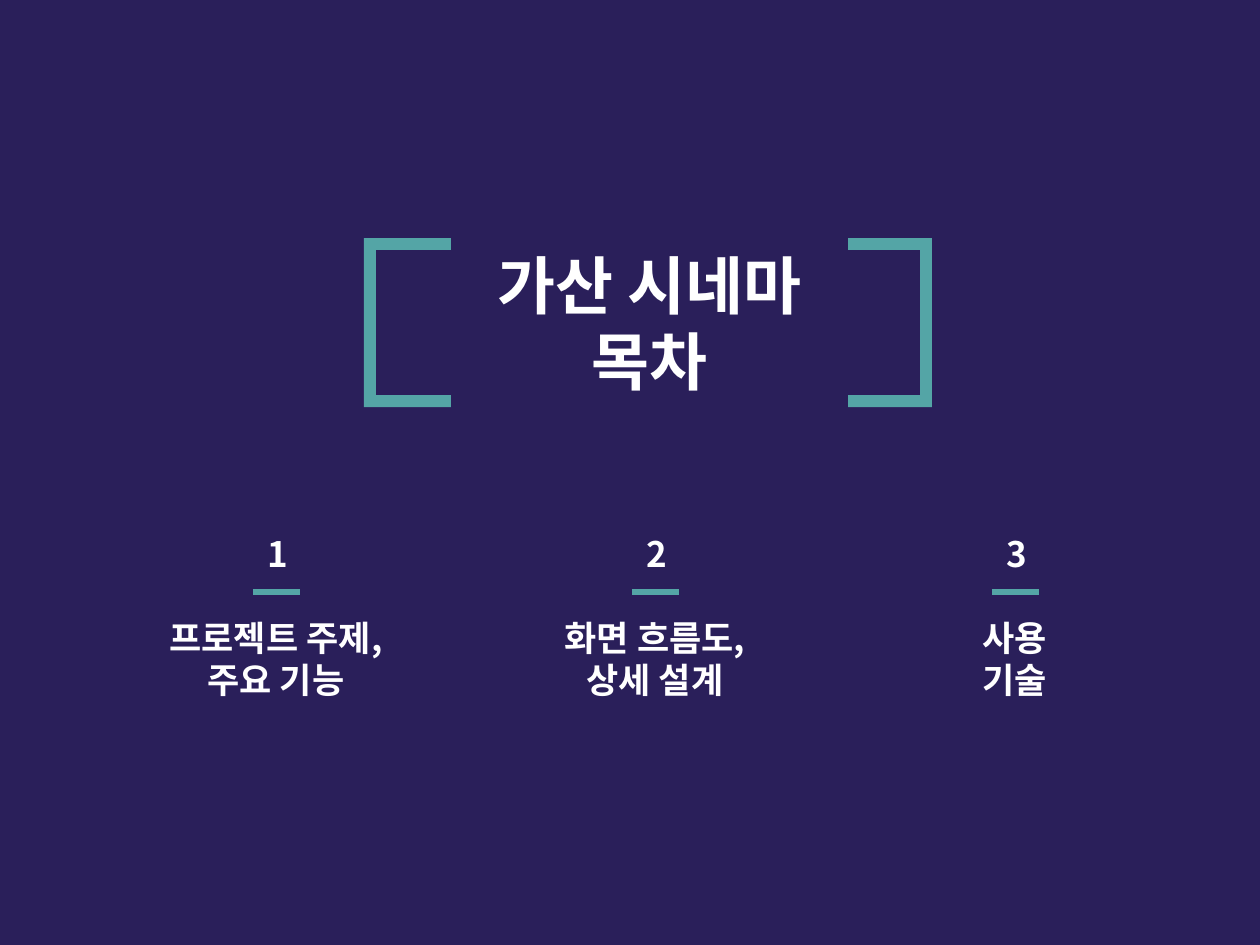
from lxml import etree
from pptx import Presentation
from pptx import util as u
from pptx.dml.color import RGBColor
from pptx.enum import shapes, text
from pptx.oxml import ns

FONT = "Noto Sans CJK KR"
NAVY, TEAL, WHITE = "2A1F5A", "54A5A6", "FFFFFF"


def px(count):
    """Turn pixels at 126 to the inch into EMU."""
    return u.Emu(round(count * 914400 / 126))


def paint(color_format, value):
    """Set a fill to a solid hex colour."""
    color_format.solid()
    color_format.fore_color.rgb = RGBColor.from_string(value)


def write(box, lines, size, anchor=text.MSO_ANCHOR.TOP):
    """Write centred bold white lines into a box."""
    frame = box.text_frame
    frame.word_wrap = True
    frame.auto_size = text.MSO_AUTO_SIZE.NONE
    frame.vertical_anchor = anchor
    for index, line in enumerate(lines):
        para = frame.paragraphs[0] if index == 0 else frame.add_paragraph()
        para.alignment = text.PP_ALIGN.CENTER
        para.space_before = u.Pt(0)
        span = para.add_run()
        span.text = line
        span.font.name, span.font.size, span.font.bold = FONT, u.Pt(size), True
        span.font.color.rgb = RGBColor.from_string(WHITE)
        east_asian = etree.SubElement(span.font._element, ns.qn("a:ea"))
        east_asian.set("typeface", FONT)


def add_text(page, left, top, width, height, lines, **form):
    """Add a text box holding 20 point lines."""
    box = page.shapes.add_textbox(px(left), px(top), px(width), px(height))
    write(box, lines, 20, **form)


def add_heading(page, left, top, width, height):
    """Place the title over a frame so that two brackets remain."""
    frame = page.shapes.add_shape(
        shapes.MSO_SHAPE.FRAME, px(left), px(top), px(width), px(height))
    frame.adjustments[0] = 0.07
    frame.shadow.inherit = False
    paint(frame.fill, TEAL)
    frame.line.fill.background()
    title = page.shapes.title
    title.left, title.top = px(left + 87), px(top - 2)
    title.width, title.height = px(width - 171), px(height + 4)
    paint(title.fill, NAVY)
    write(title, ["가산 시네마", "목차"], 36, anchor=text.MSO_ANCHOR.MIDDLE)
    title.element.addprevious(frame.element)


def add_entry(page, left, top, number, lines, label_width):
    """Place a number, its rule and its label around one centre."""
    center = left + 23
    add_text(page, center - 21, top, 40, 48, [str(number)],
             anchor=text.MSO_ANCHOR.MIDDLE)
    rule = page.shapes.add_connector(
        shapes.MSO_CONNECTOR.STRAIGHT,
        px(left), px(top + 62), px(left + 47), px(top + 62))
    rule.line.width = u.Pt(3)
    paint(rule.line.fill, TEAL)
    etree.SubElement(rule.element.spPr, ns.qn("a:effectLst"))
    add_text(page, center - label_width / 2, top + 80, label_width, 48, lines)


def main():
    """Build the contents slide."""
    deck = Presentation()
    deck.slide_width, deck.slide_height = px(1260), px(945)
    page = deck.slides.add_slide(deck.slide_layouts[5])
    paint(page.background.fill, NAVY)
    add_heading(page, 364, 238, 568, 169)
    entries = [
        (253, ["프로젝트 주제,", "주요 기능"], 400),
        (632, ["화면 흐름도,", "상세 설계"], 374),
        (992, ["사용 기술"], 161),
    ]
    for number, (left, lines, label_width) in enumerate(entries, 1):
        add_entry(page, left, 530, number, lines, label_width)
    deck.save("out.pptx")


if __name__ == "__main__":
    main()
